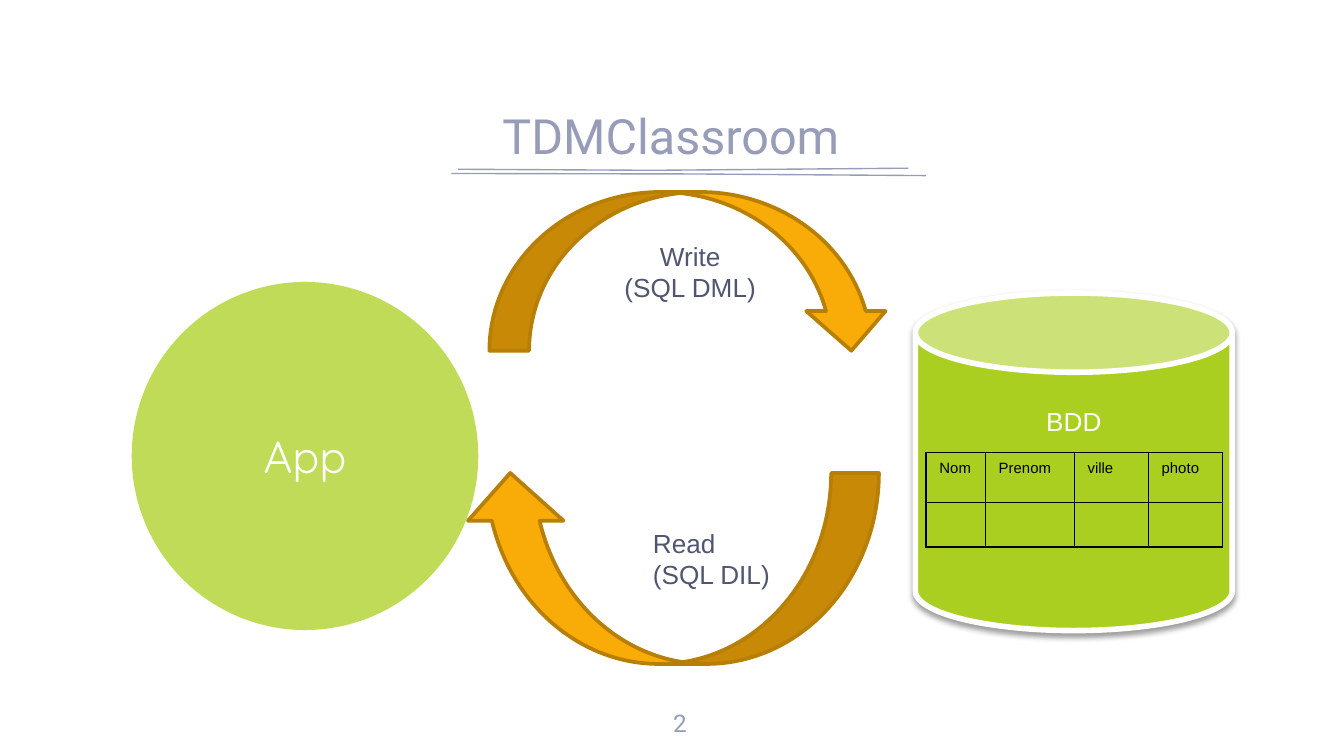
from lxml import etree
from pptx import Presentation
from pptx.dml.color import RGBColor
from pptx.enum import shapes, text
from pptx.oxml import ns
from pptx.util import Cm, Pt

LAVENDER = RGBColor(0x97, 0x9C, 0xB8)
SLATE = RGBColor(0x50, 0x56, 0x70)
LIME = RGBColor(0xAA, 0xCF, 0x20)
AMBER = RGBColor(0xF9, 0xAC, 0x08)
BRONZE = RGBColor(0xB8, 0x7F, 0x06)
WHITE = RGBColor(0xFF, 0xFF, 0xFF)
BLACK = RGBColor(0, 0, 0)
CENTER, LEFT = text.PP_ALIGN.CENTER, text.PP_ALIGN.LEFT
TOP, MIDDLE, BOTTOM = (text.MSO_ANCHOR.TOP, text.MSO_ANCHOR.MIDDLE,
                       text.MSO_ANCHOR.BOTTOM)


def lengths(box):
    return [Cm(value) for value in box]


def add_xml(parent, tag, **attributes):
    return etree.SubElement(parent, ns.qn(tag), attributes)


def write(frame, lines, size, color, font="Arial", align=CENTER,
          anchor=MIDDLE, inset=(0.25, 0.13), wrap=True):
    frame.word_wrap = wrap
    frame.vertical_anchor = anchor
    frame.margin_left = frame.margin_right = Cm(inset[0])
    frame.margin_top = frame.margin_bottom = Cm(inset[1])
    for index, line in enumerate(lines):
        para = frame.add_paragraph() if index else frame.paragraphs[0]
        para.text = line
        para.alignment = align
        para.font.name = font
        para.font.size = Pt(size)
        para.font.color.rgb = color


def add_preset(page, kind, box, fill, line=None, width=0):
    shape = page.shapes.add_shape(kind, *lengths(box))
    shape.shadow.inherit = False
    shape.fill.solid()
    shape.fill.fore_color.rgb = fill
    if line is None:
        shape.line.fill.background()
    else:
        shape.line.color.rgb = line
        shape.line.width = Pt(width)
    return shape


def add_label(page, box, lines, **style):
    label = page.shapes.add_textbox(*lengths(box))
    write(label.text_frame, lines, **style)


def add_stroke(page, points):
    """Thin open line through the given points."""
    (x, y), *rest = points
    builder = page.shapes.build_freeform(Cm(x), Cm(y))
    builder.add_line_segments([lengths(point) for point in rest], close=False)
    stroke = builder.convert_to_shape()
    stroke.shadow.inherit = False
    stroke.fill.background()
    stroke.line.color.rgb = LAVENDER
    stroke.line.width = Pt(0.75)


def add_heading(page, box):
    left, top, width, height = box
    # Double underline
    y = top + height - 0.15
    add_stroke(page, [(left + 5.82, y), (left + 9.5, y + 0.02),
                      (left + 14.33, y - 0.02)])
    add_stroke(page, [(left + 5.69, y + 0.08), (left + 10.2, y + 0.09),
                      (left + 14.66, y + 0.12)])
    # Title
    title = page.shapes.title
    title.left, title.top, title.width, title.height = lengths(box)
    write(title.text_frame, ["TDMClassroom"], 26, LAVENDER, "Roboto",
          anchor=BOTTOM, inset=(0.25, 0.25))


def add_app(page, box):
    circle = add_preset(page, shapes.MSO_SHAPE.OVAL, box, LIME)
    color = circle._element.spPr.find(".//" + ns.qn("a:srgbClr"))
    add_xml(color, "a:alpha", val="75000")
    write(circle.text_frame, ["App"], 24, WHITE, "Quicksand",
          inset=(0.25, 0.25))


def add_flow(page, box, rotation=0):
    arrow = add_preset(page, shapes.MSO_SHAPE.CURVED_DOWN_ARROW, box,
                       AMBER, BRONZE, 2)
    arrow.rotation = rotation
    return arrow


def add_records(page, box, columns, rows):
    table = page.shapes.add_table(2, 4, *lengths(box)).table
    table.first_row = table.horz_banding = False
    for column, width in zip(table.columns, columns):
        column.width = Cm(width)
    for row, height in zip(table.rows, rows):
        row.height = Cm(height)
    names = ["Nom", "Prenom", "ville", "photo"]
    for index, cell in enumerate(table.iter_cells()):
        if index < len(names):
            write(cell.text_frame, [names[index]], 8, BLACK, align=LEFT,
                  anchor=TOP)
        else:
            cell.margin_top = cell.margin_bottom = 0
        # Borders precede the fill in the cell properties
        properties = cell._tc.get_or_add_tcPr()
        for side in ("a:lnL", "a:lnR", "a:lnT", "a:lnB"):
            border = add_xml(properties, side, w=str(Pt(0.75)))
            add_xml(add_xml(border, "a:solidFill"), "a:srgbClr",
                    val=str(BLACK))
        cell.fill.background()


def add_database(page, box):
    left, top, width, height = box
    can = add_preset(page, shapes.MSO_SHAPE.CAN, box, LIME, WHITE, 3)
    write(can.text_frame, ["BDD"], 14, WHITE, anchor=TOP, inset=(0.25, 0.62))
    # Soft shadow below the can
    effects = can._element.spPr.find(ns.qn("a:effectLst"))
    shadow = add_xml(effects, "a:outerShdw", blurRad=str(Pt(3.1)),
                     dist=str(Pt(1.6)), dir="5400000", rotWithShape="0")
    color = add_xml(shadow, "a:srgbClr", val=str(BLACK))
    add_xml(color, "a:alpha", val="38000")
    add_records(page, (left + 0.2, top + 3.02, 5.6, 1.78),
                (1.12, 1.68, 1.4, 1.4), (0.94, 0.84))


def main():
    deck = Presentation()
    deck.slide_width, deck.slide_height = Cm(25.4), Cm(14.29)
    page = deck.slides.add_slide(deck.slide_layouts[5])

    add_heading(page, (2.84, 1.45, 19.69, 1.9))
    add_app(page, (2.49, 5.33, 6.55, 6.58))
    # Page number
    add_label(page, (12.09, 13.13, 1.52, 0.84), ["2"], size=13,
              color=LAVENDER, font="Roboto", anchor=TOP, inset=(0.25, 0.25))
    # Write and read flows
    writing = add_flow(page, (9.25, 3.63, 7.59, 3))
    write(writing.text_frame, ["Write", "(SQL DML)"], 14, SLATE)
    add_flow(page, (8.74, 8.94, 7.87, 3.61), 180)
    add_label(page, (12.09, 9.83, 2.74, 1.45), ["Read", "(SQL DIL)"],
              size=14, color=SLATE, align=LEFT, anchor=TOP, wrap=False)
    add_database(page, (17.3, 5.54, 5.99, 6.38))

    deck.save("out.pptx")


if __name__ == "__main__":
    main()
